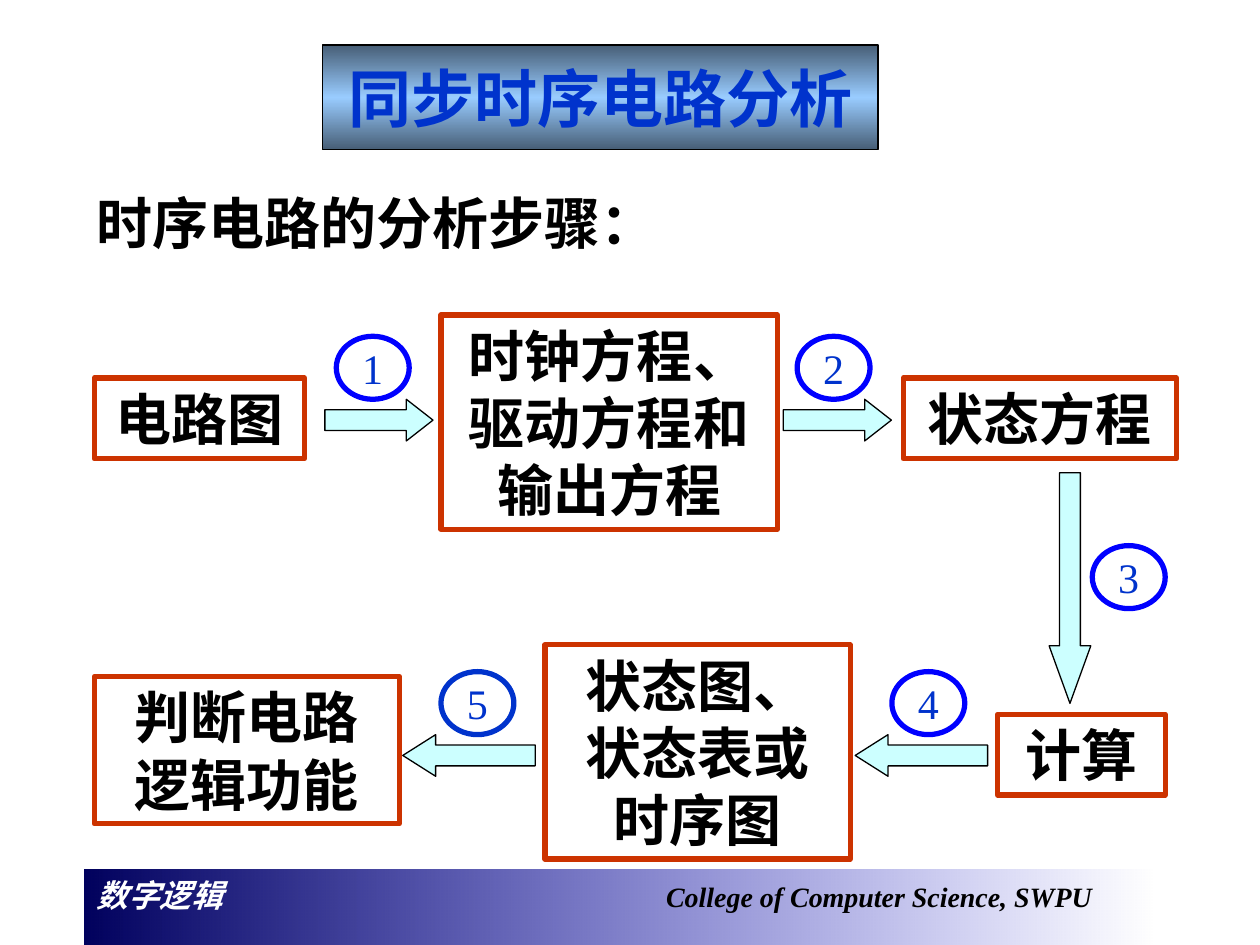
from dataclasses import dataclass

from lxml import etree
from pptx import Presentation
from pptx.dml.color import RGBColor
from pptx.enum.shapes import MSO_SHAPE
from pptx.enum.text import MSO_ANCHOR, PP_ALIGN
from pptx.oxml.ns import qn
from pptx.util import Cm, Pt

RECT, OVAL = MSO_SHAPE.RECTANGLE, MSO_SHAPE.OVAL
RIGHT, DOWN, LEFT = MSO_SHAPE.RIGHT_ARROW, MSO_SHAPE.DOWN_ARROW, MSO_SHAPE.LEFT_ARROW
TOP, MIDDLE = MSO_ANCHOR.TOP, MSO_ANCHOR.MIDDLE
START, CENTER = PP_ALIGN.LEFT, PP_ALIGN.CENTER


@dataclass(frozen=True)
class Theme:
    """Hold the colours, fonts, type sizes and line widths."""
    black: str = "000000"
    white: str = "FFFFFF"
    blue: str = "0033CC"
    ring: str = "0000FF"
    frame: str = "CC3300"
    arrow: str = "CCFFFF"
    steel: str = "475E76"
    sky: str = "99CCFF"
    navy: str = "00005E"
    fade: str = "0000CC"
    serif: str = "Times New Roman"
    sans: str = "Roboto"
    title: int = 36
    body: int = 32
    badge: int = 24
    course: int = 18
    school: int = 16
    thin: float = 0.75
    thick: float = 3


T = Theme()


def style(run, size, color, bold=True, italic=False, face=T.serif):
    """Format one run."""
    font = run.font
    font.name, font.size = face, Pt(size)
    font.bold, font.italic = bold, italic
    font.color.rgb = RGBColor.from_string(color)


def shade(shape, stops, angle):
    """Fill a shape with a gradient of (percent, colour, opacity) stops."""
    shape.fill.background()
    old = shape.element.spPr.find(qn("a:noFill"))
    grad = etree.Element(qn("a:gradFill"), rotWithShape="1")
    items = etree.SubElement(grad, qn("a:gsLst"))
    for place, color, alpha in stops:
        stop = etree.SubElement(items, qn("a:gs"), pos=str(place * 1000))
        tone = etree.SubElement(stop, qn("a:srgbClr"), val=color)
        if alpha < 100:
            etree.SubElement(tone, qn("a:alpha"), val=str(alpha * 1000))
    etree.SubElement(grad, qn("a:lin"), ang=str(angle * 60000), scaled="0")
    old.getparent().replace(old, grad)


def draw(slide, kind, box, line=None, width=T.thin, fill=None):
    """Add a preset shape in a box given in centimetres."""
    shape = slide.shapes.add_shape(kind, *map(Cm, box))
    shape.shadow.inherit = False
    if fill:
        shape.fill.solid()
        shape.fill.fore_color.rgb = RGBColor.from_string(fill)
    else:
        shape.fill.background()
    if line:
        shape.line.color.rgb = RGBColor.from_string(line)
        shape.line.width = Pt(width)
    else:
        shape.line.fill.background()
    return shape


def write(shape, text, size, color, align=CENTER, anchor=TOP, wrap=True, **look):
    """Put one formatted paragraph into a shape."""
    frame = shape.text_frame
    frame.text = text
    frame.word_wrap, frame.vertical_anchor = wrap, anchor
    para = frame.paragraphs[0]
    para.alignment = align
    style(para.runs[0], size, color, **look)
    return para


def footer(slide, box):
    """Draw the fading band with the course and school names."""
    band = draw(slide, RECT, box)
    shade(band, [(0, T.navy, 100), (100, T.fade, 0)], 0)
    para = write(band, "数字逻辑\t", T.course, T.white, START, italic=True)
    tabs = etree.SubElement(para._p.get_or_add_pPr(), qn("a:tabLst"))
    etree.SubElement(tabs, qn("a:tab"), pos=str(Cm(11.48)), algn="l")
    run = para.add_run()
    run.text = "College of Computer Science, SWPU"
    style(run, T.school, T.black, italic=True)


def header(slide, box):
    """Draw the title plate."""
    plate = draw(slide, RECT, box, T.black)
    shade(plate, [(0, T.steel, 100), (50, T.sky, 100), (100, T.steel, 100)], 90)
    write(plate, "同步时序电路分析", T.title, T.blue, anchor=MIDDLE, face=T.sans)


def lead(slide, box):
    """Add the line above the flow chart."""
    label = slide.shapes.add_textbox(*map(Cm, box))
    write(label, "时序电路的分析步骤：", T.body, T.black, START)


def flow(slide, left, top):
    """Draw the steps, arrows and numbered badges from a corner."""
    steps = [
        ("电路图", 0, 1.27, 4.24, 1.63),
        ("时钟方程、驱动方程和输出方程", 6.99, 0, 6.78, 4.32),
        ("状态方程", 16.31, 1.27, 5.51, 1.63),
        ("计算", 18.21, 8.05, 3.38, 1.63),
        ("状态图、状态表或时序图", 9.09, 6.65, 6.15, 4.32),
        ("判断电路逻辑功能", 0, 7.29, 6.15, 2.97),
    ]
    for text, x, y, wide, high in steps:
        step = draw(slide, RECT, (left + x, top + y, wide, high), T.frame, T.thick)
        write(step, text, T.body, T.black)

    arrows = [
        (RIGHT, 4.65, 1.7, 2.18, 0.84, 0.64),
        (RIGHT, 13.89, 1.7, 2.18, 0.84, 0.64),
        (DOWN, 19.25, 3.18, 0.84, 4.65, 1.38),
        (LEFT, 15.34, 8.46, 2.67, 0.84, 0.79),
        (LEFT, 6.22, 8.46, 2.67, 0.84, 0.79),
    ]
    for kind, x, y, wide, high, head in arrows:
        arrow = draw(slide, kind, (left + x, top + y, wide, high), T.black, fill=T.arrow)
        arrow.adjustments[0], arrow.adjustments[1] = 0.5, head

    badges = [
        (4.88, 0.43, T.ring),
        (14.17, 0.43, T.ring),
        (20.12, 4.65, T.ring),
        (16.08, 7.19, T.ring),
        (6.99, 7.19, T.blue),
    ]
    for number, (x, y, line) in enumerate(badges, 1):
        badge = draw(slide, OVAL, (left + x, top + y, 1.47, 1.27), line, T.thick)
        write(badge, str(number), T.badge, T.blue, anchor=MIDDLE, wrap=False, bold=False)


def main():
    """Build and save the slide."""
    deck = Presentation()
    deck.slide_width, deck.slide_height = Cm(25.4), Cm(19.05)
    slide = deck.slides.add_slide(deck.slide_layouts[6])
    footer(slide, (1.7, 17.53, 21.59, 1.52))
    header(slide, (6.5, 0.91, 11.2, 2.11))
    lead(slide, (1.7, 3.68, 13.61, 1.63))
    flow(slide, 1.9, 6.35)
    deck.save("out.pptx")


if __name__ == "__main__":
    main()
